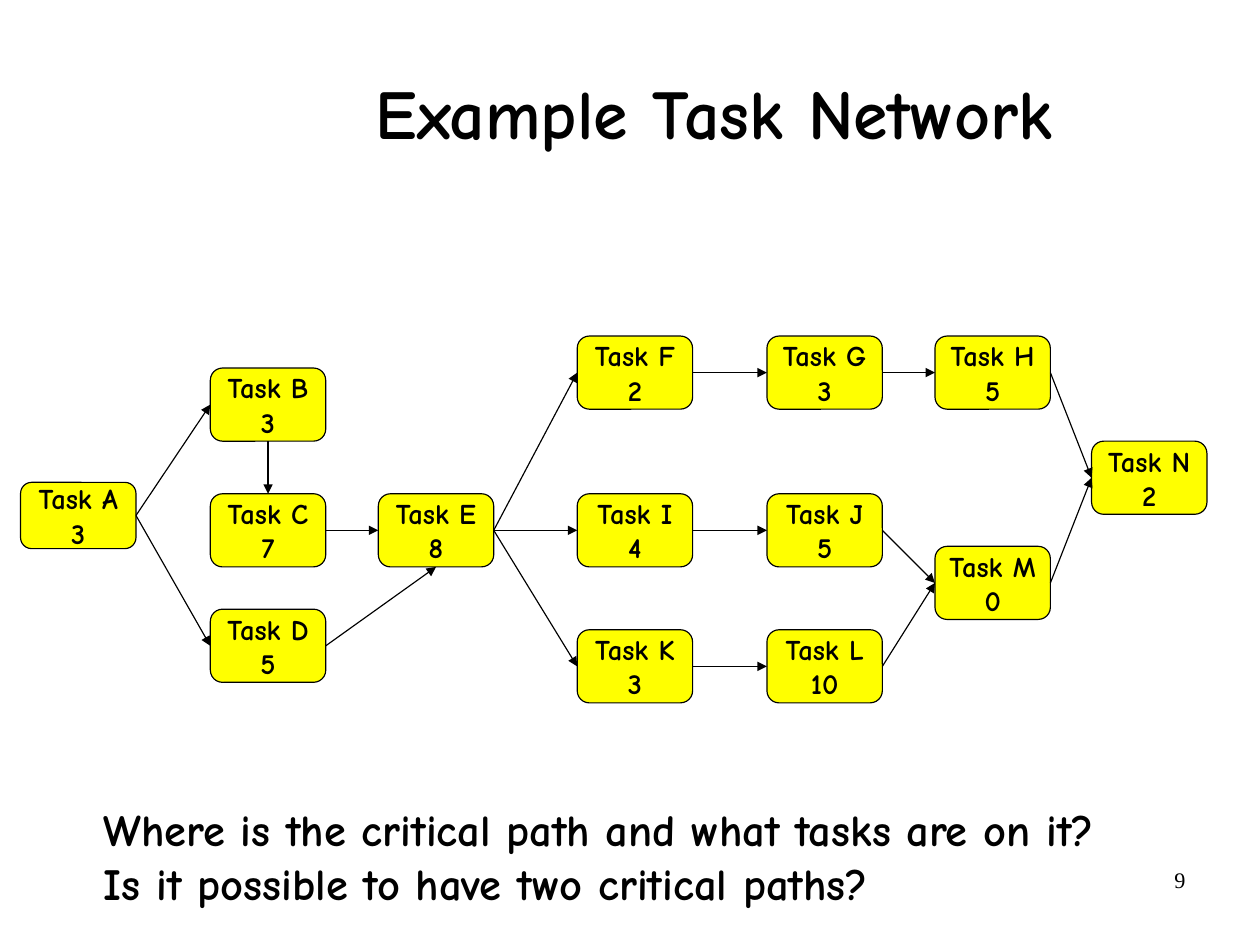
from dataclasses import dataclass

from lxml.etree import SubElement
from pptx import Presentation
from pptx.dml.color import RGBColor
from pptx.enum.shapes import MSO_CONNECTOR, MSO_SHAPE
from pptx.enum.text import MSO_ANCHOR, PP_ALIGN
from pptx.oxml.ns import qn
from pptx.util import Cm, Inches, Pt


@dataclass(frozen=True)
class Theme:
    ink: RGBColor = RGBColor(0x00, 0x00, 0x00)
    task_fill: RGBColor = RGBColor(0xFF, 0xFF, 0x00)
    font: str = "Comic Neue"
    number_font: str = "Times New Roman"
    title_size: int = 44
    question_size: int = 28
    task_size: int = 18
    number_size: int = 14
    line_width: float = 0.75


theme = Theme()


def format_text(text_frame, size, alignment, font=theme.font, bold=True,
                margins=(0.11, 0.06), wrap=False):
    text_frame.word_wrap = wrap
    text_frame.margin_left = text_frame.margin_right = Inches(margins[0])
    text_frame.margin_top = text_frame.margin_bottom = Inches(margins[1])
    for paragraph in text_frame.paragraphs:
        paragraph.alignment = alignment
        for run in paragraph.runs:
            run.font.name = font
            run.font.size = Pt(size)
            run.font.bold = bold
            run.font.color.rgb = theme.ink


presentation = Presentation()
presentation.slide_width = Cm(28)
presentation.slide_height = Cm(21)
slide = presentation.slides.add_slide(presentation.slide_layouts[5])

title = slide.shapes.title
title.left, title.top = Inches(1.73), Inches(0.33)
title.width, title.height = Inches(9.04), Inches(1.38)
title.text_frame.text = "Example Task Network"
title.text_frame.vertical_anchor = MSO_ANCHOR.MIDDLE
format_text(title.text_frame, theme.title_size, PP_ALIGN.CENTER, margins=(0, 0), wrap=True)
title.text_frame.paragraphs[0].line_spacing = 0.92

# Task network: name, duration, column, top
task_width, task_height, first_task_height = 1.01, 0.64, 0.58
columns = [0.18, 1.84, 3.31, 5.05, 6.71, 8.18, 9.55]
upper_row, middle_row, lower_row = 2.94, 4.32, 5.51
tasks = [
    ("A", 3, 0, 4.22),
    ("B", 3, 1, 3.22),
    ("C", 7, 1, middle_row),
    ("D", 5, 1, 5.33),
    ("E", 8, 2, middle_row),
    ("F", 2, 3, upper_row),
    ("G", 3, 4, upper_row),
    ("H", 5, 5, upper_row),
    ("I", 4, 3, middle_row),
    ("J", 5, 4, middle_row),
    ("K", 3, 3, lower_row),
    ("L", 10, 4, lower_row),
    ("M", 0, 5, 4.78),
    ("N", 2, 6, 3.86),
]
task_shapes = {}
for name, duration, column, top in tasks:
    height = first_task_height if name == "A" else task_height
    shape = slide.shapes.add_shape(
        MSO_SHAPE.ROUNDED_RECTANGLE, Inches(columns[column]), Inches(top),
        Inches(task_width), Inches(height))
    shape.shadow.inherit = False
    shape.fill.solid()
    shape.fill.fore_color.rgb = theme.task_fill
    shape.line.color.rgb = theme.ink
    shape.line.width = Pt(theme.line_width)
    shape.text_frame.text = f"Task {name}\n{duration}"
    shape.text_frame.vertical_anchor = MSO_ANCHOR.MIDDLE
    format_text(shape.text_frame, theme.task_size, PP_ALIGN.CENTER)
    task_shapes[name] = shape

# Arrows leave on the right and arrive on the left unless listed here
top_side, left_side, bottom_side, right_side = range(4)
special_sides = {"BC": (bottom_side, top_side), "DE": (right_side, bottom_side)}
dependencies = "AB AD BC CE DE EF EI EK FG GH HN IJ JM KL LM MN".split()
for dependency in dependencies:
    source, target = dependency
    start_side, end_side = special_sides.get(dependency, (right_side, left_side))
    arrow = slide.shapes.add_connector(MSO_CONNECTOR.STRAIGHT, 0, 0, 0, 0)
    arrow.begin_connect(task_shapes[source], start_side)
    arrow.end_connect(task_shapes[target], end_side)
    arrow.line.color.rgb = theme.ink
    arrow.line.width = Pt(theme.line_width)
    line_properties = arrow._element.spPr.find(qn("a:ln"))
    SubElement(line_properties, qn("a:tailEnd"), type="triangle")
    SubElement(arrow._element.spPr, qn("a:effectLst"))

questions = slide.shapes.add_textbox(Inches(0.8), Inches(6.96), Inches(8.91), Inches(1.05))
questions.text_frame.text = (
    "Where is the critical path and what tasks are on it?\n"
    "Is it possible to have two critical paths?")
format_text(questions.text_frame, theme.question_size, PP_ALIGN.LEFT)

page_number = slide.shapes.add_textbox(Inches(7.9), Inches(7.53), Inches(2.57), Inches(0.57))
page_number.text_frame.text = "9"
format_text(page_number.text_frame, theme.number_size, PP_ALIGN.RIGHT,
            font=theme.number_font, bold=False, margins=(0.1, 0.05), wrap=True)

presentation.save("out.pptx")
